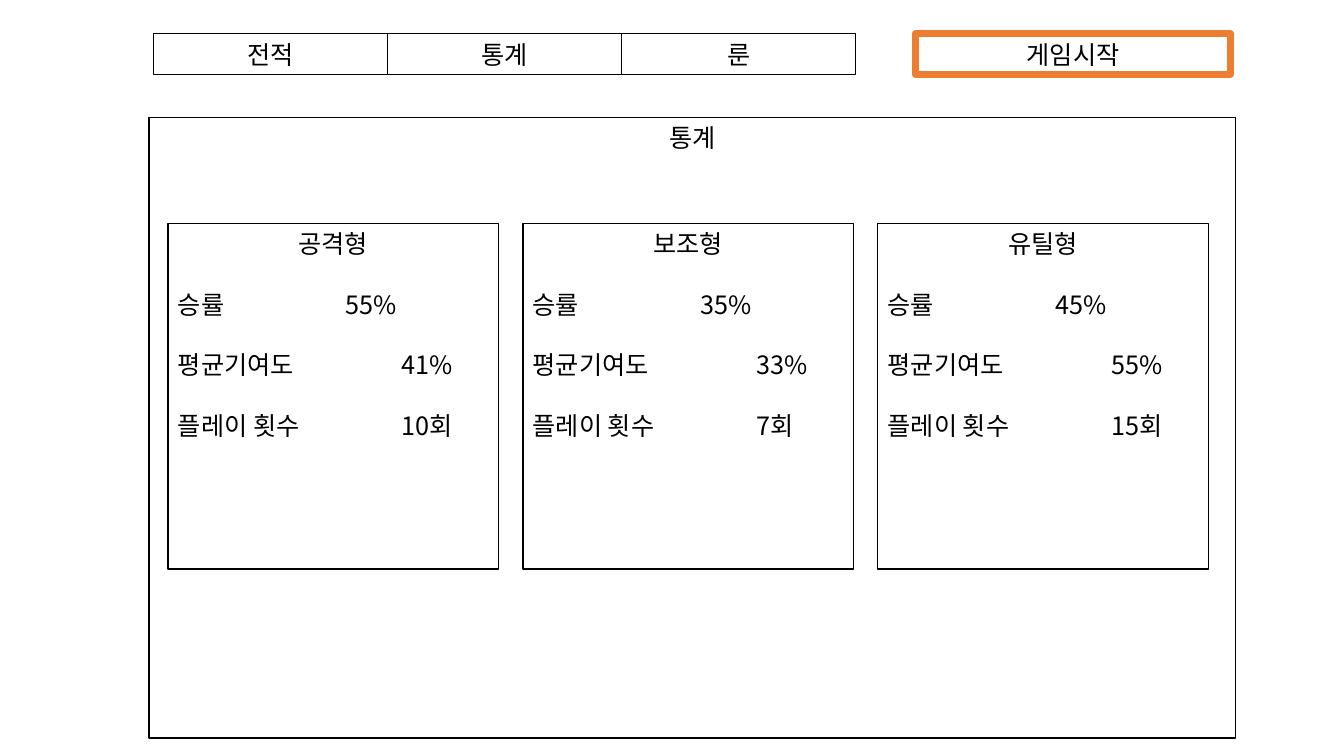
from lxml import etree
from pptx import Presentation
from pptx import util as u
from pptx.dml.color import RGBColor
from pptx.enum import shapes, text
from pptx.oxml.ns import qn

BLACK = RGBColor(0x00, 0x00, 0x00)
ORANGE = RGBColor(0xED, 0x7D, 0x31)
EMU_PER_PX = 9525

TABS = ["전적", "통계", "룬"]
TAB_LEFT, TAB_TOP, TAB_WIDTH, TAB_HEIGHT = 146, 32, 223, 39

CARD_LEFT, CARD_TOP, CARD_WIDTH, CARD_HEIGHT, CARD_STEP = 160, 213, 315, 329, 338
ROWS = [("승률", 160), ("평균기여도", 213), ("플레이 횟수", 213)]  # label, value offset
CARDS = {
    "공격형": ["55%", "41%", "10회"],
    "보조형": ["35%", "33%", "7회"],
    "유틸형": ["45%", "55%", "15회"],
}


def px(length):
    return u.Emu(length * EMU_PER_PX)


class Wireframe:
    font_name = "Noto Sans CJK KR"
    font_format = {"name": font_name, "size": u.Pt(18)}
    row_gap = u.Pt(21.6)

    def __init__(self, slide):
        self.slide = slide

    def box(self, title, left, top, width, height,
            color=BLACK, weight=1, anchor=text.MSO_ANCHOR.TOP):
        """Draw an outlined rectangle with a centred title; return its text frame."""
        shape = self.slide.shapes.add_shape(
            shapes.MSO_SHAPE.RECTANGLE, *map(px, (left, top, width, height)))
        shape.shadow.inherit = False
        shape.fill.background()
        shape.line.color.rgb = color
        shape.line.width = u.Pt(weight)
        frame = shape.text_frame
        frame.word_wrap = True
        frame.vertical_anchor = anchor
        self.set_text(frame.paragraphs[0], title, text.PP_ALIGN.CENTER)
        return frame

    def button(self, title, left, width, **line):
        self.box(title, left, TAB_TOP, width, TAB_HEIGHT,
                 anchor=text.MSO_ANCHOR.MIDDLE, **line)

    def card(self, title, values, left):
        frame = self.box(title, left, CARD_TOP, CARD_WIDTH, CARD_HEIGHT)
        for (label, offset), value in zip(ROWS, values):
            paragraph = frame.add_paragraph()
            self.set_text(paragraph, f"{label}\t{value}", text.PP_ALIGN.LEFT)
            paragraph.space_before = self.row_gap
            self.tab_stop(paragraph, offset)

    def set_text(self, paragraph, content, alignment):
        paragraph.alignment = alignment
        run = paragraph.add_run()
        run.text = content
        for name, value in self.font_format.items():
            setattr(run.font, name, value)
        run.font.color.rgb = BLACK
        east_asian = etree.SubElement(run._r.get_or_add_rPr(), qn("a:ea"))
        east_asian.set("typeface", self.font_name)

    def tab_stop(self, paragraph, offset):
        stops = etree.SubElement(paragraph._p.get_or_add_pPr(), qn("a:tabLst"))
        etree.SubElement(stops, qn("a:tab"), pos=str(px(offset)), algn="l")


def main():
    presentation = Presentation()
    presentation.slide_width, presentation.slide_height = px(1280), px(720)
    blank_layout = presentation.slide_layouts[6]
    wireframe = Wireframe(presentation.slides.add_slide(blank_layout))

    wireframe.button("게임시작", 872, 300, color=ORANGE, weight=4.5)
    for index, title in enumerate(TABS):
        wireframe.button(title, TAB_LEFT + index * TAB_WIDTH, TAB_WIDTH)
    wireframe.box("통계", 142, 112, 1035, 591)
    for index, (title, values) in enumerate(CARDS.items()):
        wireframe.card(title, values, CARD_LEFT + index * CARD_STEP)

    presentation.save("out.pptx")


if __name__ == "__main__":
    main()
